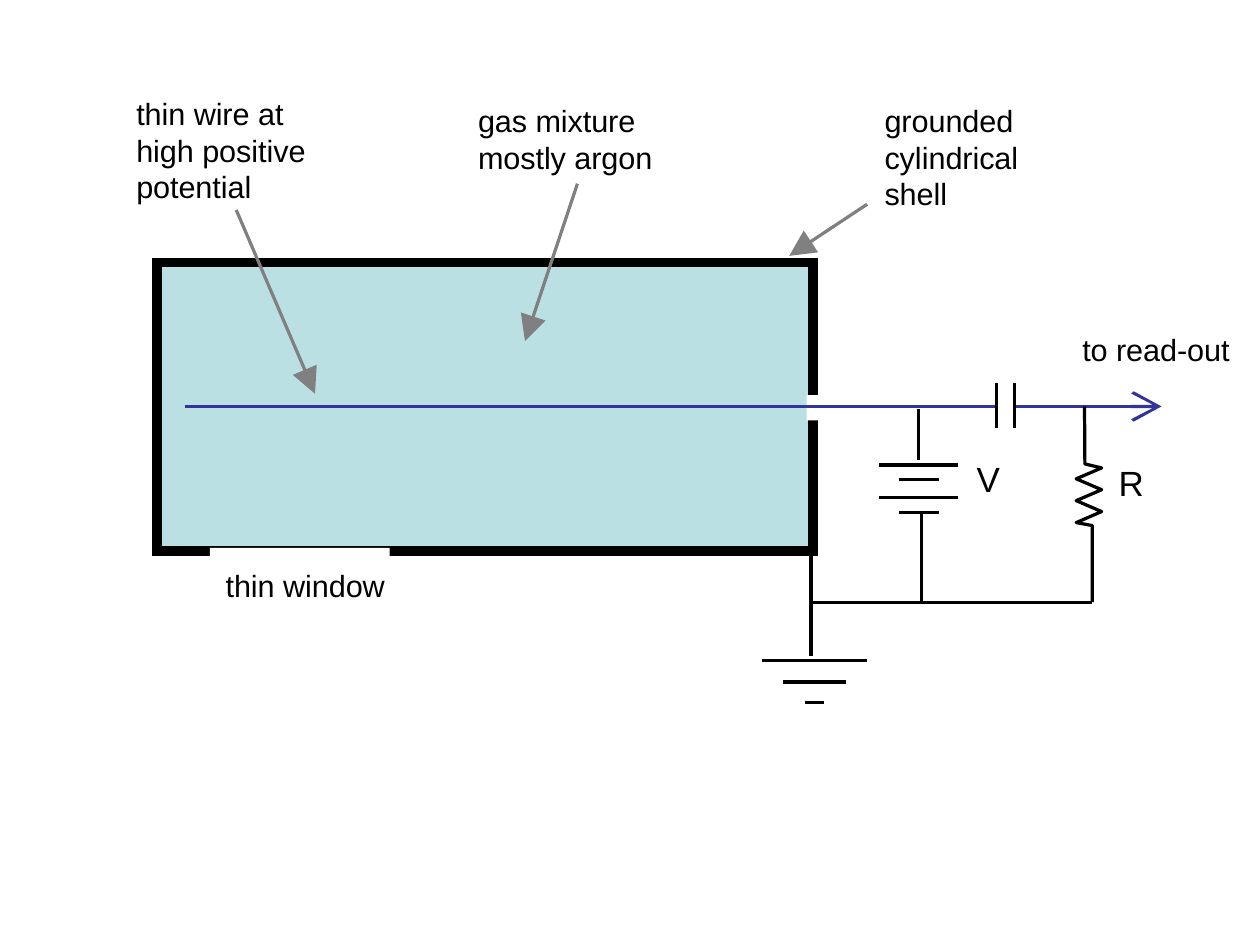
from pptx import Presentation
from pptx.dml.color import RGBColor
from pptx.enum.shapes import MSO_CONNECTOR, MSO_SHAPE
from pptx.enum.text import MSO_AUTO_SIZE
from pptx.oxml.ns import qn
from pptx.util import Pt
from lxml.etree import SubElement

BLACK = RGBColor(0x00, 0x00, 0x00)
WHITE = RGBColor(0xFF, 0xFF, 0xFF)
GRAY = RGBColor(0x80, 0x80, 0x80)
WIRE_BLUE = RGBColor(0x33, 0x33, 0x99)
GAS_BLUE = RGBColor(0xBB, 0xE0, 0xE3)
FONT = "Arial"
THIN = 0.75

LABELS = [
    ("thin wire at\nhigh positive\npotential", 24.1, 18.1, 53.3, 32.4, 7),
    ("gas mixture\nmostly argon", 102.2, 19.8, 54, 24.5, 7),
    ("grounded\ncylindrical\nshell", 195.1, 19.7, 44.6, 32.4, 7),
    ("thin window", 44.5, 126, 50.4, 15.8, 7),
    ("to read-out", 240.3, 72, 47.7, 15.8, 7),
    ("V", 216.2, 101, 19.4, 17.3, 8),
    ("R", 248.6, 101.9, 20.2, 17.3, 8),
]
POINTERS = [
    (54, 48, 72, 90),
    (132, 42, 120, 78),
    (198.2, 46.7, 180.4, 58.5),
]

SHELL = (36, 60, 149.9, 66)
WINDOW = (48, 125.2, 41.1, 5.8)
WIRE_GAP = (184.4, 90.3, 5.8, 5.8)

WIRE_Y = 92.9
RETURN_Y = 137.7
GROUND_X = 185.4
BATTERY_X = 210
CAPACITOR_X = 229.8
PLATE_GAP = 4.1
BATTERY_BARS = [(18, 106.3), (9.2, 109.7), (18, 113.7), (9.2, 117.1)]
GROUND_BARS = [(24, 150.9), (14.4, 155.9), (4.3, 160.5)]

ZIGZAG = [(251.8 if turn % 2 == 0 else 246, 107 + 2.5 * turn) for turn in range(6)]
RESISTOR = [(247.9, WIRE_Y), (248, 106.1), *ZIGZAG, (249.7, 120.2), (249.7, RETURN_Y)]


def add_box(slide, box, fill, border=None):
    shape = slide.shapes.add_shape(MSO_SHAPE.RECTANGLE, *map(Pt, box))
    shape.shadow.inherit = False
    shape.fill.solid()
    shape.fill.fore_color.rgb = fill
    if border:
        shape.line.color.rgb = BLACK
        shape.line.width = Pt(border)
        SubElement(shape.line._get_or_add_ln(), qn("a:miter"), lim="800000")
    else:
        shape.line.fill.background()


def add_line(slide, ends, color=BLACK, width=THIN, head=None):
    connector = slide.shapes.add_connector(MSO_CONNECTOR.STRAIGHT, *map(Pt, ends))
    connector.line.color.rgb = color
    connector.line.width = Pt(width)
    if head:
        SubElement(connector.line._get_or_add_ln(), qn("a:tailEnd"), type=head)
    SubElement(connector._element.spPr, qn("a:effectLst"))


def add_bars(slide, center, bars):
    for length, y in bars:
        add_line(slide, (center - length / 2, y, center + length / 2, y))


def add_resistor(slide):
    points = [(Pt(x), Pt(y)) for x, y in RESISTOR]
    builder = slide.shapes.build_freeform(*points[0])
    builder.add_line_segments(points[1:], close=False)
    shape = builder.convert_to_shape()
    shape.shadow.inherit = False
    shape.fill.background()
    shape.line.color.rgb = BLACK
    shape.line.width = Pt(THIN)


def add_label(slide, text, left, top, width, height, size):
    text_box = slide.shapes.add_textbox(Pt(left), Pt(top), Pt(width), Pt(height))
    text_frame = text_box.text_frame
    text_frame.word_wrap = True
    text_frame.auto_size = MSO_AUTO_SIZE.NONE
    text_frame.margin_right = Pt(0)
    text_frame.text = text
    for paragraph in text_frame.paragraphs:
        for run in paragraph.runs:
            run.font.name = FONT
            run.font.size = Pt(size)
            run.font.color.rgb = BLACK


def main():
    presentation = Presentation()
    presentation.slide_width = Pt(288)
    presentation.slide_height = Pt(216)
    slide = presentation.slides.add_slide(presentation.slide_layouts[6])

    add_box(slide, SHELL, GAS_BLUE, border=2.25)
    add_box(slide, WINDOW, WHITE)
    add_box(slide, WIRE_GAP, WHITE)
    add_line(slide, (42.3, WIRE_Y, 265.5, WIRE_Y), WIRE_BLUE, head="arrow")
    for pointer in POINTERS:
        add_line(slide, pointer, GRAY, head="triangle")

    add_line(slide, (GROUND_X, 126, GROUND_X, 150))
    add_bars(slide, GROUND_X + 0.7, GROUND_BARS)

    add_line(slide, (BATTERY_X, 93.4, BATTERY_X, 105.2))
    add_bars(slide, BATTERY_X, BATTERY_BARS)
    add_line(slide, (BATTERY_X + 0.6, 117.1, BATTERY_X + 0.6, RETURN_Y))

    add_line(slide, (CAPACITOR_X, 84.2, CAPACITOR_X, 101.5), WHITE, 4.5)
    for side in (-1, 1):
        plate_x = CAPACITOR_X + side * PLATE_GAP / 2
        add_line(slide, (plate_x, 87.6, plate_x, 97.8))

    add_resistor(slide)
    add_line(slide, (GROUND_X + 0.4, RETURN_Y, RESISTOR[-1][0], RETURN_Y))

    for label in LABELS:
        add_label(slide, *label)

    presentation.save("out.pptx")


if __name__ == "__main__":
    main()
